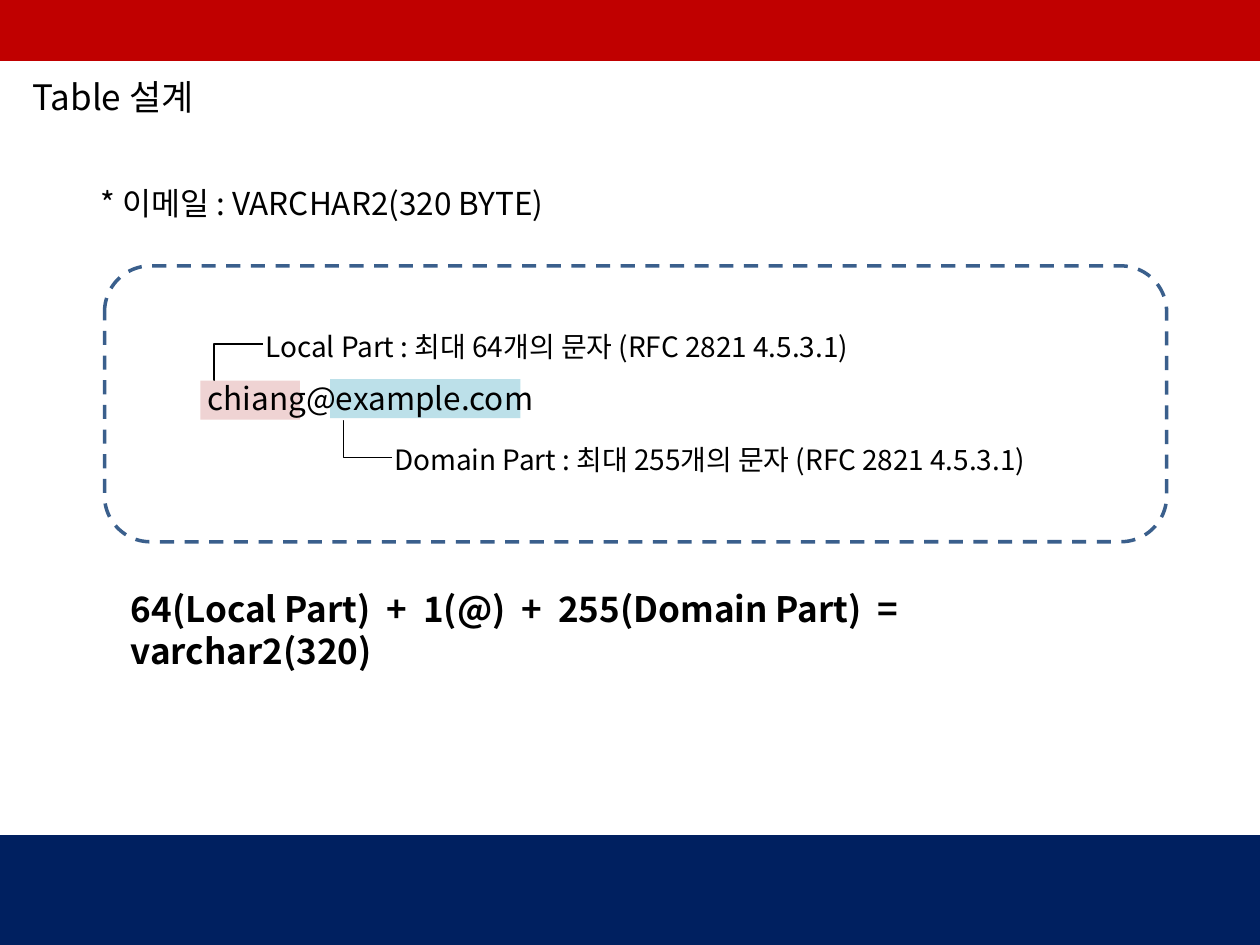
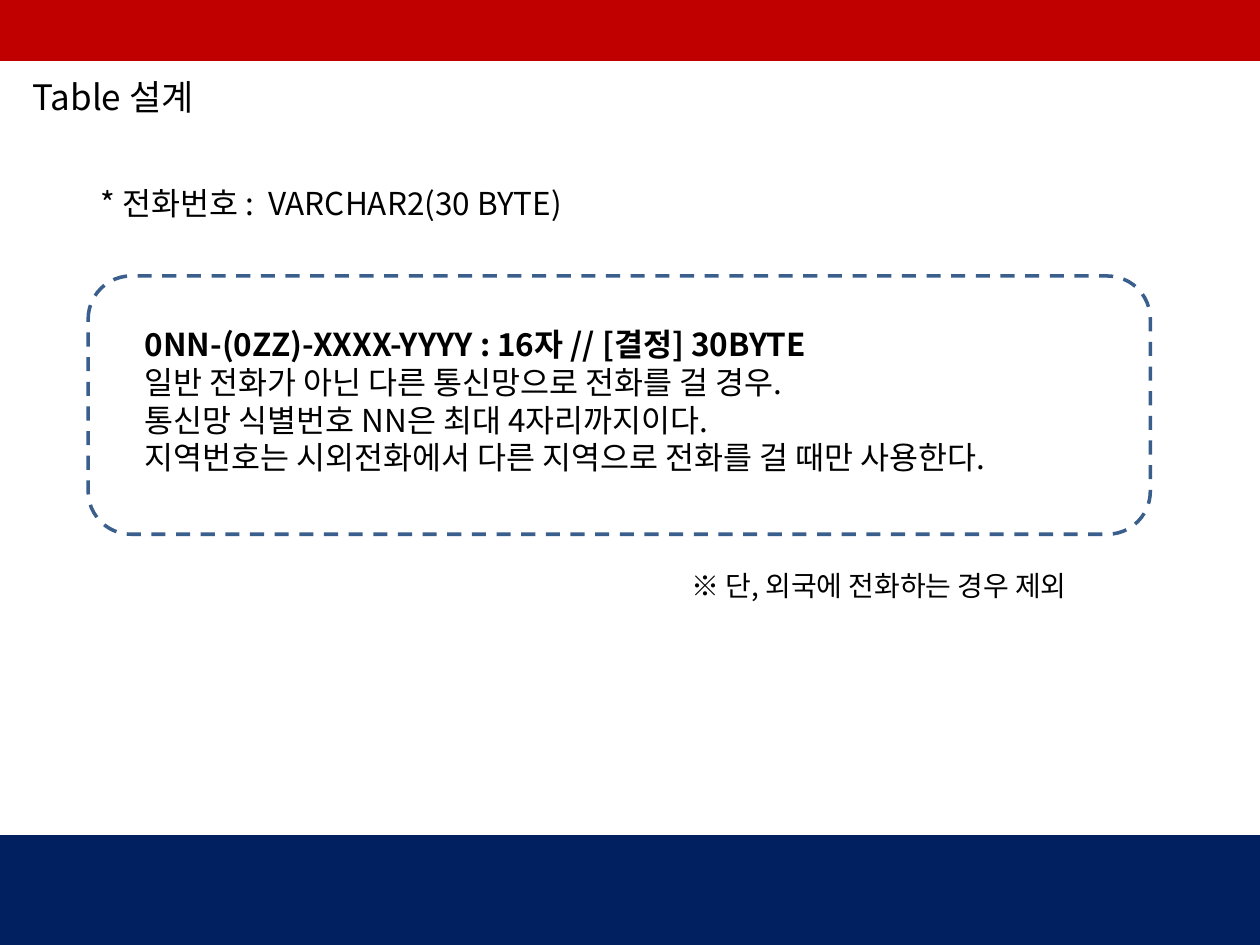
from lxml import etree
from pptx import Presentation
from pptx.dml.color import RGBColor
from pptx.enum import dml, shapes, text
from pptx.oxml.ns import qn
from pptx.util import Inches, Pt

WIDE, HIGH = Inches(10), Inches(7.5)
COLS, ROWS = 100, 75
FONT = "Noto Sans CJK KR"
HUE = {"ink": "000000", "red": "C00000", "navy": "002060",
       "dash": "3A5F8C", "pink": "E6B9B8", "aqua": "93CDDD"}

TITLE = ("Table 설계", (1.6, 5.5, 18, 4.4), 20)
BANDS = [("red", (0, 0, COLS, 4.7)), ("navy", (0, 66.4, COLS, 8.6))]
HEAD = (7, 14.1)

PAGES = [
    {
        "head": ("* 이메일 : VARCHAR2(320 BYTE)", 38.4),
        "frame": (8.3, 21.1, 84.3, 21.9),
        "marks": [("aqua", (26.2, 30.1, 15.1, 3.1)),
                  ("pink", (15.9, 30.2, 7.9, 3.1))],
        "texts": [
            (["64(Local Part)  +  1(@)  +  255(Domain Part)  =  varchar2(320)"],
             (9.4, 46.1, 81.6, 4.4), 20, True),
            (["chiang@example.com"], (15.5, 29.6, 33.1, 4), 18, False),
            (["Local Part : 최대 64개의 문자 (RFC 2821 4.5.3.1)"],
             (20.1, 25.7, 52.6, 3.7), 16, False),
            (["Domain Part : 최대 255개의 문자 (RFC 2821 4.5.3.1)"],
             (30.3, 34.6, 61.4, 3.7), 16, False),
        ],
        "leads": [(16.95, 30.2, -2.9), (27.2, 33.4, 2.9)],
    },
    {
        "head": ("* 전화번호 :  VARCHAR2(30 BYTE)", 39.5),
        "frame": (7, 21.9, 84.3, 20.5),
        "marks": [],
        "texts": [
            (["0NN-(0ZZ)-XXXX-YYYY : 16자 // [결정] 30BYTE",
              "일반 전화가 아닌 다른 통신망으로 전화를 걸 경우.",
              "통신망 식별번호 NN은 최대 4자리까지이다.",
              "지역번호는 시외전화에서 다른 지역으로 전화를 걸 때만 사용한다."],
             (10.5, 25.3, 77.2, 13.1), 18, True),
            (["※ 단, 외국에 전화하는 경우 제외"],
             (53.9, 44.6, 37.8, 3.7), 16, False),
        ],
        "leads": [],
    },
]


def scale(box):
    return [round(n * (HIGH / ROWS if i % 2 else WIDE / COLS))
            for i, n in enumerate(box)]


def tint(name):
    return RGBColor.from_string(HUE[name])


def write(page, lines, box, size, bold=False):
    frame = page.shapes.add_textbox(*scale(box)).text_frame
    frame.word_wrap = True
    frame.auto_size = text.MSO_AUTO_SIZE.SHAPE_TO_FIT_TEXT
    for i, line in enumerate(lines):
        para = frame.paragraphs[0] if i == 0 else frame.add_paragraph()
        run = para.add_run()
        run.text = line
        font = run.font
        font.name, font.size = FONT, Pt(size)
        font.bold = bold and i == 0
        font.color.rgb = tint("ink")
        east = etree.SubElement(run._r.get_or_add_rPr(), qn("a:ea"))
        east.set("typeface", FONT)


def block(page, box, fill=None, line=None, kind="RECTANGLE"):
    part = page.shapes.add_shape(shapes.MSO_SHAPE[kind], *scale(box))
    part.shadow.inherit = False
    if fill:
        part.fill.solid()
        part.fill.fore_color.rgb = tint(fill)
    else:
        part.fill.background()
    if line:
        part.line.color.rgb = tint(line)
        part.line.width = Pt(2)
    else:
        part.line.fill.background()
    return part


def mark(page, hue, box):
    part = block(page, box, hue)
    color = part._element.spPr.find(qn("a:solidFill"))[0]
    etree.SubElement(color, qn("a:alpha")).set("val", "62000")


def lead(page, left, top, rise):
    ends = scale((left, top, left + 3.9, top + rise))
    link = page.shapes.add_connector(shapes.MSO_CONNECTOR.ELBOW, *ends)
    link.line.color.rgb = tint("ink")
    link.line.width = Pt(0.75)
    props = link._element.spPr
    bend = etree.SubElement(props.find(qn("a:prstGeom")).find(qn("a:avLst")),
                            qn("a:gd"))
    bend.set("name", "adj1")
    bend.set("fmla", "val 1100")
    etree.SubElement(props, qn("a:effectLst"))


def build(deck, data):
    page = deck.slides.add_slide(deck.slide_layouts[6])
    label, box, size = TITLE
    write(page, [label], box, size)
    for hue, box in BANDS:
        block(page, box, hue, hue)
    label, width = data["head"]
    write(page, [label], (*HEAD, width, 4), 18)
    frame = block(page, data["frame"], line="dash", kind="ROUNDED_RECTANGLE")
    frame.line.dash_style = dml.MSO_LINE.DASH
    for hue, box in data["marks"]:
        mark(page, hue, box)
    for item in data["texts"]:
        write(page, *item)
    for item in data["leads"]:
        lead(page, *item)


def main():
    deck = Presentation()
    deck.slide_width, deck.slide_height = WIDE, HIGH
    for data in PAGES:
        build(deck, data)
    deck.save("out.pptx")


if __name__ == "__main__":
    main()
